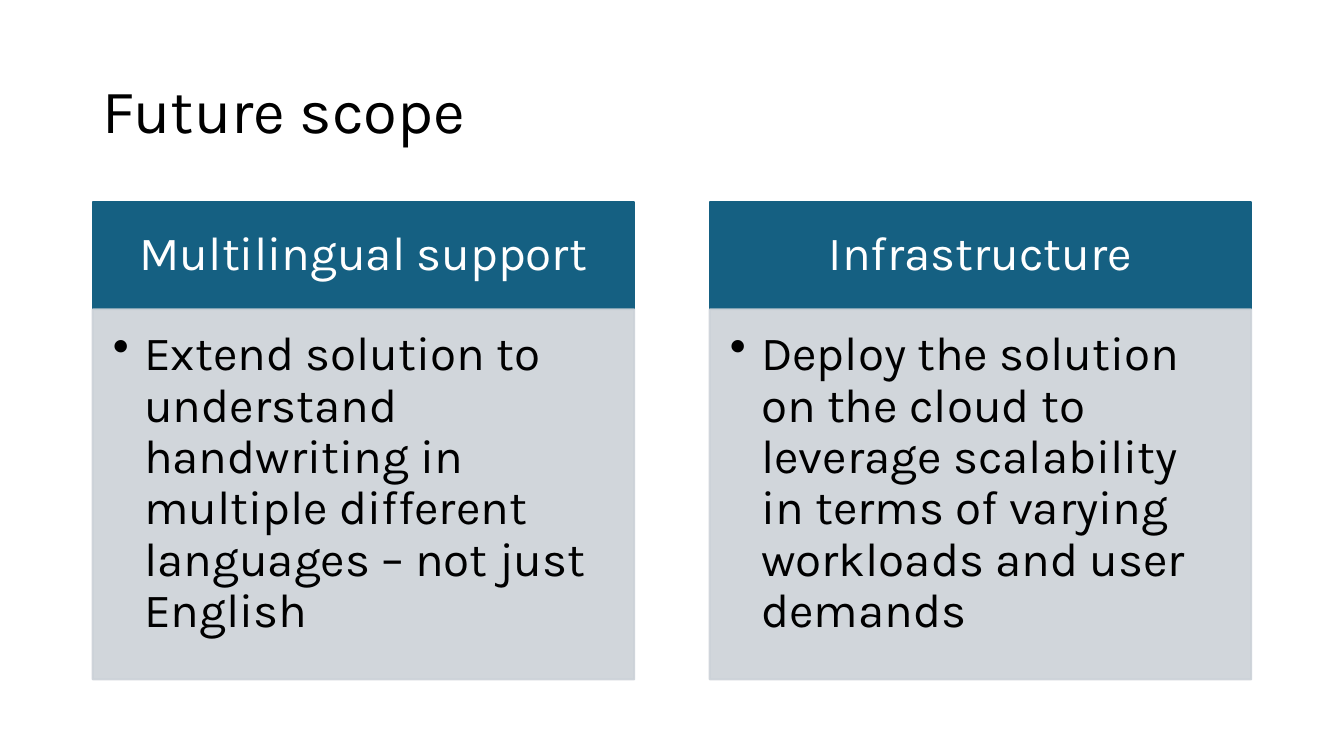
import pptx
import pptx.dml.color
import pptx.enum.shapes
import pptx.enum.text
import pptx.oxml
import pptx.oxml.ns
import pptx.util

Inches = pptx.util.Inches
Pt = pptx.util.Pt
Color = pptx.dml.color.RGBColor
Align = pptx.enum.text.PP_ALIGN
Anchor = pptx.enum.text.MSO_ANCHOR

TEAL = Color(0x15, 0x60, 0x82)
GRAY = Color(0xCC, 0xD2, 0xD8)
WHITE = Color(0xFF, 0xFF, 0xFF)
BLACK = Color(0, 0, 0)

LEFT, TOP, WIDTH, STEP = 0.92, 2, 5.37, 6.12
HEAD, BODY = 1.07, 3.67

CARDS = [
    ("Multilingual support",
     "Extend solution to understand handwriting in multiple different "
     "languages – not just English"),
    ("Infrastructure",
     "Deploy the solution on the cloud to leverage scalability in terms "
     "of varying workloads and user demands"),
]


def apply(target, values):
    for name, value in values.items():
        setattr(target, name, value)


def place(shape, left, top, width, height):
    apply(shape, {"left": Inches(left), "top": Inches(top),
                  "width": Inches(width), "height": Inches(height)})


def write(shape, text, size, color, align, anchor, pads):
    frame = shape.text_frame
    frame.text = text
    sides = ("margin_left", "margin_top", "margin_right", "margin_bottom")
    apply(frame, {"word_wrap": True, "vertical_anchor": anchor,
                  "auto_size": pptx.enum.text.MSO_AUTO_SIZE.NONE})
    apply(frame, {side: Inches(pad) for side, pad in zip(sides, pads)})
    para = frame.paragraphs[0]
    apply(para, {"alignment": align, "line_spacing": 0.9})
    font = para.runs[0].font
    apply(font, {"name": "Karla", "size": Pt(size)})
    font.color.rgb = color
    return para


def add_box(slide, left, top, height, color):
    kind = pptx.enum.shapes.MSO_SHAPE.RECTANGLE
    box = slide.shapes.add_shape(kind, Inches(left), Inches(top),
                                 Inches(WIDTH), Inches(height))
    box.shadow.inherit = False
    box.fill.solid()
    box.fill.fore_color.rgb = color
    box.line.color.rgb = color
    box.line.width = Pt(1.5)
    return box


def fade(box, percent):
    for color in box._element.spPr.iter(pptx.oxml.ns.qn("a:srgbClr")):
        alpha = pptx.oxml.parse_xml(
            f'<a:alpha {pptx.oxml.ns.nsdecls("a")} val="{percent * 1000}"/>')
        color.append(alpha)


def add_dot(para, indent):
    props = para._p.get_or_add_pPr()
    props.set("marL", str(Inches(indent)))
    props.set("indent", str(-Inches(indent)))
    props.append(pptx.oxml.parse_xml(
        f'<a:buChar {pptx.oxml.ns.nsdecls("a")} char="•"/>'))


def add_card(slide, left, head, body):
    box = add_box(slide, left, TOP, HEAD, TEAL)
    write(box, head, 34, WHITE, Align.CENTER, Anchor.MIDDLE,
          (0.26, 0.15, 0.26, 0.15))
    box = add_box(slide, left, TOP + HEAD, BODY, GRAY)
    fade(box, 90)
    para = write(box, body, 34, BLACK, Align.LEFT, Anchor.TOP,
                 (0.2, 0.2, 0.26, 0.3))
    para.level = 1
    add_dot(para, 0.31)


def main():
    deck = pptx.Presentation()
    apply(deck, {"slide_width": Inches(13.33), "slide_height": Inches(7.5)})
    slide = deck.slides.add_slide(deck.slide_layouts[5])
    title = slide.shapes.title
    place(title, LEFT, 0.4, 11.5, 1.45)
    write(title, "Future scope", 44, BLACK, Align.LEFT, Anchor.MIDDLE,
          (0.1, 0.05, 0.1, 0.05))
    for index, (head, body) in enumerate(CARDS):
        add_card(slide, LEFT + index * STEP, head, body)
    deck.save("out.pptx")


if __name__ == "__main__":
    main()
